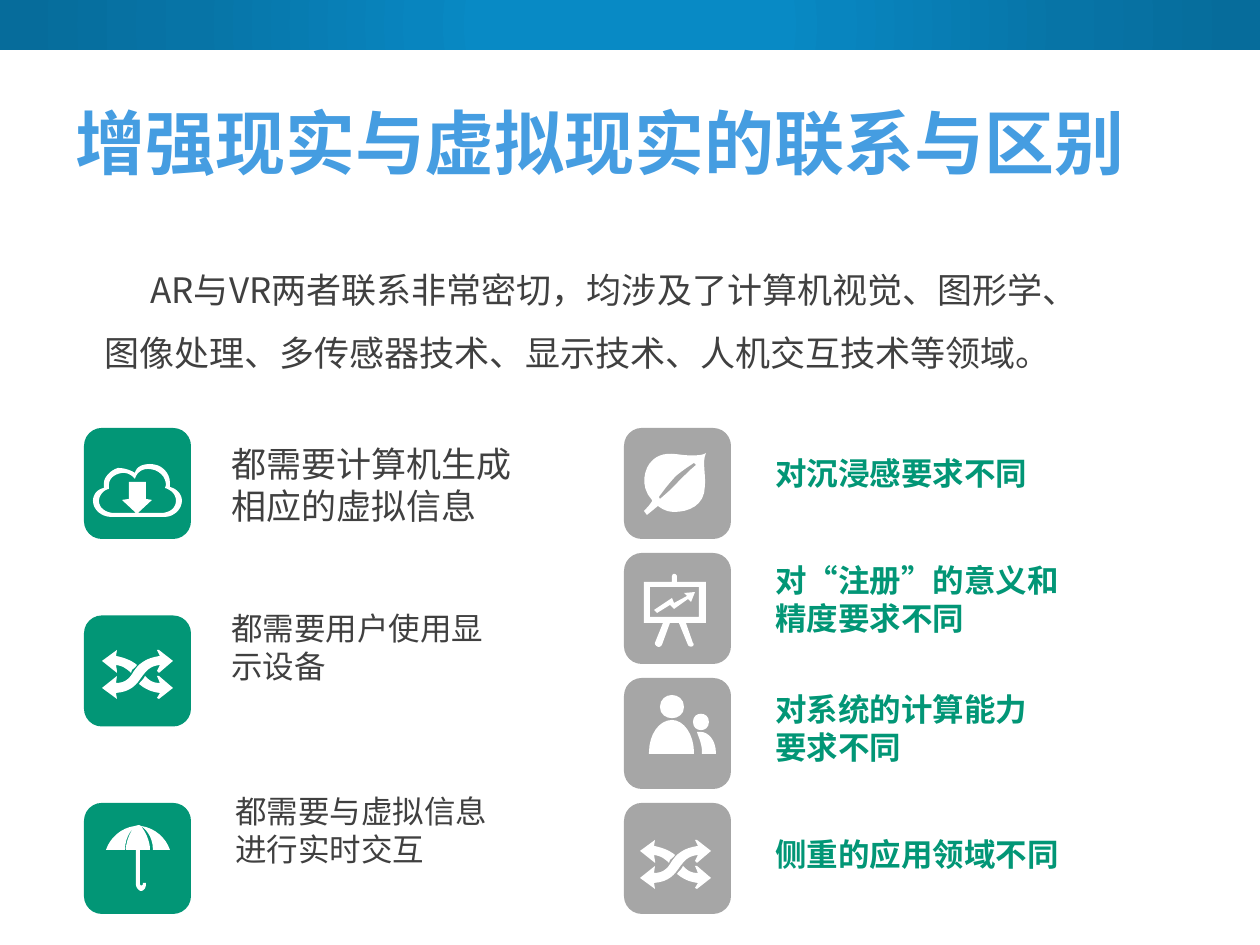
from lxml.etree import SubElement
from pptx import Presentation
from pptx.dml.color import RGBColor
from pptx.enum.shapes import MSO_SHAPE as Preset
from pptx.enum.text import MSO_ANCHOR as Anchor
from pptx.oxml import parse_xml
from pptx.oxml.ns import nsdecls, qn
from pptx.util import Emu, Pt

PX = 914400 / 126
FINE = 10  # freeform units in one px
CURVE_STEPS = 8
FONT = "Noto Sans CJK SC"
BLUE, GREEN, GREY, DARK, WHITE = "459DE1", "029676", "A6A6A6", "404040", "FFFFFF"

LEFT_X, RIGHT_X, TILE_TOP, TILE_SPAN = 84, 624, 428, 375
TILE_W, TILE_H = 107, 111

# Each icon is a list of outlines in px: "x,y" is a corner,
# and six numbers are a Bezier curve (two controls and the end).
CLOUD = [
    "77,23 77,21,77,20,77,19 77,8,68,0,57,0 43,0,42,9,42,9 42,9,35,4,25,4 "
    "18,6,11,13,11,19 11,24 5,25,0,30,0,37 0,45,8,53,18,53 72,53 "
    "81,53,89,45,89,37 89,30,84,25,77,23",
    "68,49 45,49 59,36 53,35 53,18 36,18 36,35 29,36 43,49 21,49 "
    "13,49,6,44,6,37 6,32,10,26,16,25 16,21 16,15,21,10,29,9 "
    "37,8,42,15,42,15 42,15,44,5,55,5 66,5,73,13,73,21 72,24 "
    "78,26,83,30,83,37 83,44,77,49,68,49",
]
SHUFFLE = [
    "71,38 57,49 55,48 58,43 48,42,42,38,37,34 39,31,42,29,43,26 "
    "47,30,50,33,58,33 55,26 57,26",
    "15,23 15,21 14,15 21,16,25,19,29,23 30,20 31,19,33,18,35,15 "
    "30,11,24,8,14,6 15,0 0,11",
    "39,28 44,21,48,16,58,15 55,21 57,23 71,11 57,0 55,0 58,6 "
    "43,8,36,15,32,21 28,28,24,33,14,33 15,26 0,38 15,49 14,43 "
    "29,42,35,34,39,28",
]
UMBRELLA = [
    "47,25 64,25 60,13,49,3,35,1 33,0 29,1 15,3,4,13,0,25 19,25 "
    "19,10,28,3,29,1 19,14,20,25,20,25 30,25 30,59 30,63,33,66,35,66 "
    "38,66,40,63,40,59 40,58 37,58 37,59 37,61,34,61,34,59 34,25 44,25 "
    "44,25,45,14,35,1 38,3,47,10,47,25",
]
LEAF = [
    "67,1 67,1,63,5,44,3 26,0,19,3,13,9 6,15,0,34,13,48 15,49,5,59,5,59 "
    "8,63 19,54 19,54,26,60,35,60 49,60,66,54,66,34 67,21,63,11,67,1",
    "57,13 57,13,50,19,40,29 32,38,21,47,21,47 20,45 20,45,29,32,37,24 "
    "44,18,55,11,55,11",
]
BOARD = [
    "62,8 33,8 33,3 33,1,32,0,30,0 29,0,28,1,28,3 28,8 0,8 0,49 19,49 "
    "11,69 11,71,13,73,15,73 16,73,17,72,18,71 26,49 35,49 44,71 "
    "45,73,48,73,49,72 50,71,50,70,49,69 42,49 62,49",
    "6,43 6,13 55,13 55,43",
]
TREND = ["3,21 16,13 20,17 34,7 37,10 41,0 30,1 33,4 20,11 18,6 0,18"]
ADULT = [
    "23,25 10,25,0,40,0,57 0,59 45,59 45,57 45,40,35,25,23,25",
    "11,12 11,-4,35,-4,35,12 35,27,11,27,11,12",
]
CHILD = [
    "8,18 4,18 6,24,9,30,9,38 9,40 23,40 23,39 23,26,15,18,8,18",
    "0,8 0,-3,16,-3,16,8 16,19,0,19,0,8",
]


def px(length):
    return Emu(round(length * PX))


def rgb(code):
    return RGBColor.from_string(code)


def paint(shape, color):
    shape.shadow.inherit = False
    shape.line.fill.background()
    shape.fill.solid()
    shape.fill.fore_color.rgb = rgb(color)


def add_block(slide, preset, x, y, w, h, color):
    block = slide.shapes.add_shape(preset, px(x), px(y), px(w), px(h))
    paint(block, color)
    return block


def add_banner(slide):
    banner = add_block(slide, Preset.RECTANGLE, 0, 0, 1260, 50, "088AC5")
    stops = [(0, "088AC5"), (23, "088AC5"), (33, "0885BF"), (69, "0774A6"), (97, "066C9B")]
    stop_xml = "".join(
        f'<a:gs pos="{percent * 1000}"><a:srgbClr val="{color}"/></a:gs>'
        for percent, color in stops)
    gradient = parse_xml(
        f'<a:gradFill {nsdecls("a")} rotWithShape="1"><a:gsLst>{stop_xml}</a:gsLst>'
        '<a:path path="circle"><a:fillToRect l="50000" t="50000" r="50000" b="50000"/>'
        '</a:path></a:gradFill>')
    properties = banner.fill._xPr
    properties.replace(properties.find(qn("a:solidFill")), gradient)


def outline_points(outline):
    """Turn an outline into corner points, with its curves flattened."""
    points = []
    for segment in outline.split():
        x1, y1, *rest = (int(number) * FINE for number in segment.split(","))
        if not rest:
            points.append((x1, y1))
            continue
        x2, y2, x3, y3 = rest
        x0, y0 = points[-1]
        for step in range(1, CURVE_STEPS + 1):
            t = step / CURVE_STEPS
            weights = ((1 - t) ** 3, 3 * t * (1 - t) ** 2, 3 * t * t * (1 - t), t ** 3)
            points.append(tuple(
                sum(weight * value for weight, value in zip(weights, axis))
                for axis in ((x0, x1, x2, x3), (y0, y1, y2, y3))))
    return points


def add_icon(slide, outlines, x, y):
    first, *others = [outline_points(outline) for outline in outlines]
    builder = slide.shapes.build_freeform(*first[0], scale=PX / FINE)
    builder.add_line_segments(first[1:])
    for points in others:
        builder.move_to(*points[0])
        builder.add_line_segments(points[1:])
    paint(builder.convert_to_shape(px(x), px(y)), WHITE)


def add_text(slide, text, x, y, w, h, size, color, bold=False, anchor=Anchor.TOP):
    box = slide.shapes.add_textbox(px(x), px(y), px(w), px(h))
    frame = box.text_frame
    frame.word_wrap = True
    frame.vertical_anchor = anchor
    paragraph = frame.paragraphs[0]
    run = paragraph.add_run()
    run.text = text
    run.font.size = Pt(size)
    run.font.bold = bold
    run.font.color.rgb = rgb(color)
    run.font.name = FONT
    SubElement(run.font._element, qn("a:ea")).set("typeface", FONT)
    return paragraph


def add_intro(slide):
    intro = add_text(
        slide,
        "AR与VR两者联系非常密切，均涉及了计算机视觉、图形学、图像处理、多传感器技术、显示技术、人机交互技术等领域。",
        92, 241, 1010, 587, 20, DARK)
    intro.line_spacing = 1.5
    properties = intro._p.get_or_add_pPr()
    properties.set("marL", "0")
    properties.set("indent", str(px(46)))


def add_tiles(slide, x, count, color):
    for row in range(count):
        y = TILE_TOP + TILE_SPAN * row / (count - 1)
        add_block(slide, Preset.ROUNDED_RECTANGLE, x, y, TILE_W, TILE_H, color)


def main():
    deck = Presentation()
    deck.slide_width, deck.slide_height = px(1260), px(945)
    slide = deck.slides.add_slide(deck.slide_layouts[6])

    add_banner(slide)
    add_text(slide, "增强现实与虚拟现实的联系与区别", 63, 73, 1134, 136, 40, BLUE,
             bold=True, anchor=Anchor.MIDDLE)
    add_intro(slide)

    add_tiles(slide, LEFT_X, 3, GREEN)
    add_tiles(slide, RIGHT_X, 4, GREY)
    for outlines, x, y in [
        (CLOUD, 93, 464), (SHUFFLE, 102, 650), (UMBRELLA, 106, 825),
        (LEAF, 639, 452), (BOARD, 644, 574), (TREND, 654, 592),
        (ADULT, 649, 695), (CHILD, 693, 714), (SHUFFLE, 640, 840),
    ]:
        add_icon(slide, outlines, x, y)

    for likeness, x, y, w, h, size in [
        ("都需要计算机生成相应的虚拟信息", 219, 436, 328, 97, 20),
        ("都需要用户使用显示设备", 219, 603, 287, 89, 18),
        ("都需要与虚拟信息进行实时交互", 223, 786, 296, 127, 18),
    ]:
        add_text(slide, likeness, x, y, w, h, size, DARK)

    for difference, y, w, h in [
        ("对沉浸感要求不同", 448, 294, 50),
        ("对“注册”的意义和精度要求不同", 555, 338, 89),
        ("对系统的计算能力要求不同", 684, 300, 89),
        ("侧重的应用领域不同", 829, 309, 50),
    ]:
        add_text(slide, difference, 763, y, w, h, 18, GREEN, bold=True)

    deck.save("out.pptx")


if __name__ == "__main__":
    main()
